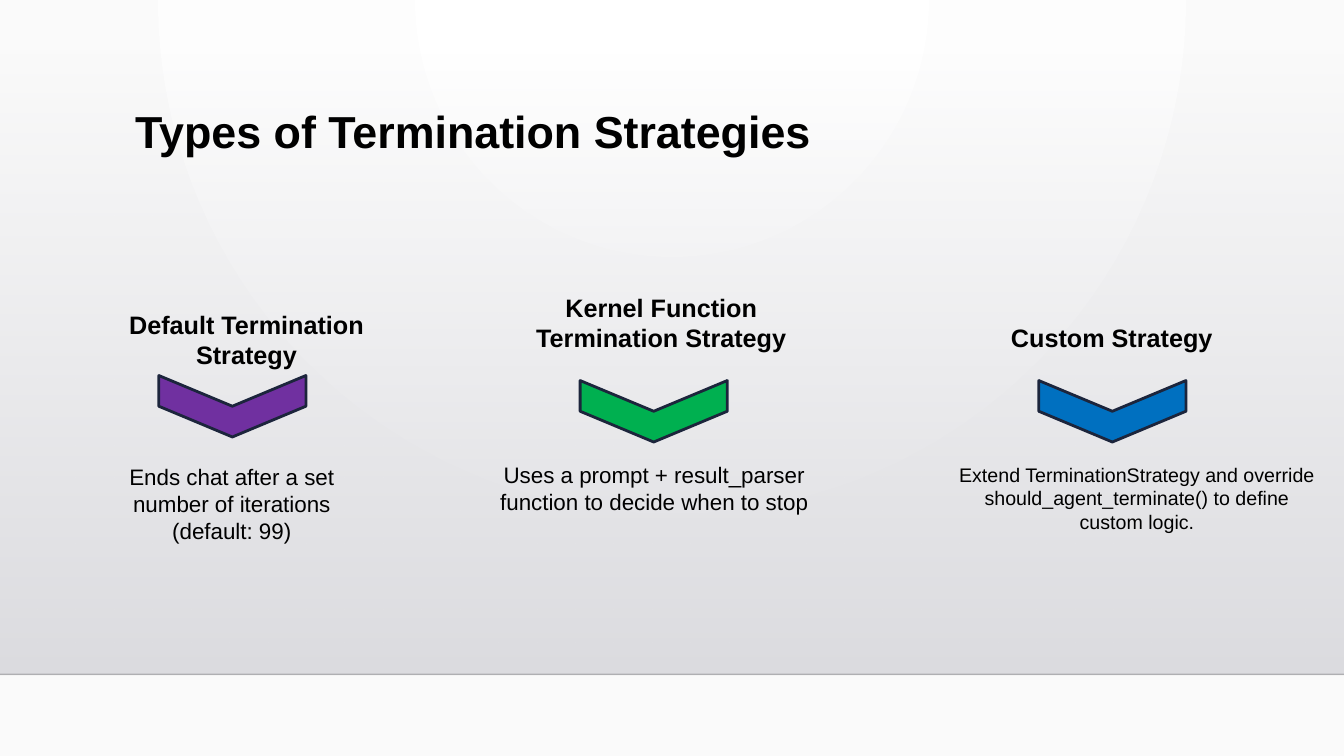
from lxml import etree
from pptx import Presentation
from pptx import util as u
from pptx.dml.color import RGBColor
from pptx.enum import shapes, text
from pptx.oxml.ns import qn


def color(hex_code):
    return RGBColor.from_string(hex_code)


def format_text(frame, wording, size, bold, align, indent=0):
    frame.text = wording
    frame.word_wrap = True
    frame.vertical_anchor = text.MSO_ANCHOR.TOP
    for para in frame.paragraphs:
        if indent:
            para.level = 1
            props = para._p.get_or_add_pPr()
            props.set("marL", str(u.Inches(indent)))
            props.set("indent", "0")
        para.alignment = align
        para.font.name = "Arial"
        para.font.size = u.Pt(size)
        para.font.bold = bold
        para.font.color.rgb = color("000000")


WIDTH, HEIGHT = u.Inches(13.333), u.Inches(7.5)
PANEL_TOP, PANEL_BOTTOM = u.Inches(0.51), u.Inches(6.69)
CHEVRON_WIDTH, CHEVRON_HEIGHT = u.Inches(0.61), u.Inches(1.46)
LEFT, CENTER = text.PP_ALIGN.LEFT, text.PP_ALIGN.CENTER

# heading, heading box, chevron left and top, chevron fill,
# description, description box, description size, description indent
STRATEGIES = [
    ("Default Termination\nStrategy", (1.1, 3.02, 2.69, 0.71),
     (2, 3.3), "7030A0",
     "Ends chat after a set\nnumber of iterations\n(default: 99)",
     (1.12, 4.55, 2.36, 0.91), 16, 0),
    ("Kernel Function Termination Strategy", (4.82, 2.85, 3.48, 0.71),
     (6.18, 3.35), "00B050",
     "Uses a prompt + result_parser function to decide when to stop",
     (4.59, 4.53, 3.8, 0.64), 16, 0),
    ("Custom Strategy", (9.88, 3.15, 2.3, 0.4),
     (10.73, 3.35), "0070C0",
     "Extend TerminationStrategy and override "
     "should_agent_terminate() to define custom logic.",
     (8.9, 4.54, 4.26, 0.81), 14, 0.5),
]

deck = Presentation()
deck.slide_width, deck.slide_height = WIDTH, HEIGHT
page = deck.slides.add_slide(deck.slide_layouts[5])

# Background: light radial glow from the top centre
glow = page.background.fill
glow.gradient()
for stop, hex_code in zip(glow.gradient_stops, ("FFFFFF", "FAFAFA")):
    stop.color.rgb = color(hex_code)
linear = page.element.xpath("./p:cSld/p:bg//a:lin")[0]
radial = etree.Element(qn("a:path"), {"path": "circle"})
etree.SubElement(radial, qn("a:fillToRect"),
                 {"l": "43000", "t": "0", "r": "43000", "b": "100000"})
linear.getparent().replace(linear, radial)

# Panel fading in towards the floor line
panel = page.shapes.add_shape(shapes.MSO_SHAPE.RECTANGLE, 0, PANEL_TOP,
                              WIDTH, PANEL_BOTTOM - PANEL_TOP)
panel.shadow.inherit = False
panel.line.fill.background()
panel.fill.gradient()
panel.fill.gradient_angle = 270
for stop, hex_code in zip(panel.fill.gradient_stops, ("DCDCE0", "DEDEE2")):
    stop.color.rgb = color(hex_code)

floor = page.shapes.add_connector(shapes.MSO_CONNECTOR.STRAIGHT,
                                  0, PANEL_BOTTOM, WIDTH, PANEL_BOTTOM)
floor.line.color.rgb = color("000001")
floor.line.width = u.Pt(1)
etree.SubElement(floor._element.spPr, qn("a:effectLst"))

for shape, alpha in ((panel, "0"), (floor, "20000")):
    first_color = shape._element.spPr.xpath(".//a:srgbClr")[0]
    etree.SubElement(first_color, qn("a:alpha"), {"val": alpha})

title = page.shapes.title
title.left, title.top = u.Inches(1.24), u.Inches(1.04)
title.width, title.height = u.Inches(10.5), u.Inches(1.15)
format_text(title.text_frame, "Types of Termination Strategies", 32, True, LEFT)
title.text_frame.paragraphs[0].line_spacing = 0.9
# Bring the title in front of the panel
page.shapes._spTree.append(title._element)

for (heading, heading_box, (left, top), fill,
     description, description_box, size, indent) in STRATEGIES:
    chevron = page.shapes.add_shape(shapes.MSO_SHAPE.CHEVRON, u.Inches(left),
                                    u.Inches(top), CHEVRON_WIDTH, CHEVRON_HEIGHT)
    chevron.rotation = 90
    chevron.shadow.inherit = False
    chevron.fill.solid()
    chevron.fill.fore_color.rgb = color(fill)
    chevron.line.color.rgb = color("1C253C")
    chevron.line.width = u.Pt(2)

    box = page.shapes.add_textbox(*map(u.Inches, heading_box))
    format_text(box.text_frame, heading, 18, True, CENTER)
    box = page.shapes.add_textbox(*map(u.Inches, description_box))
    format_text(box.text_frame, description, size, False, CENTER, indent)

deck.save("out.pptx")
